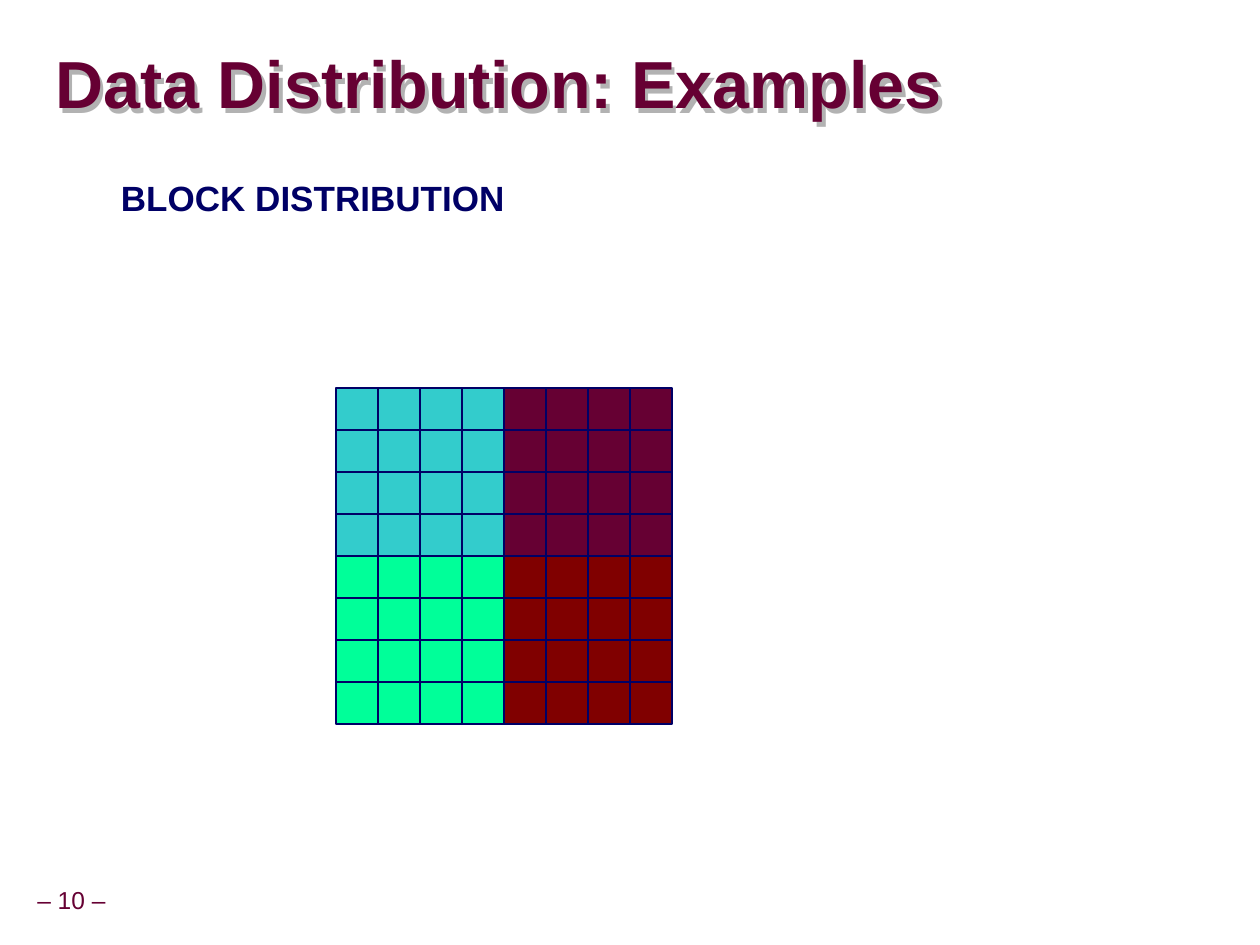
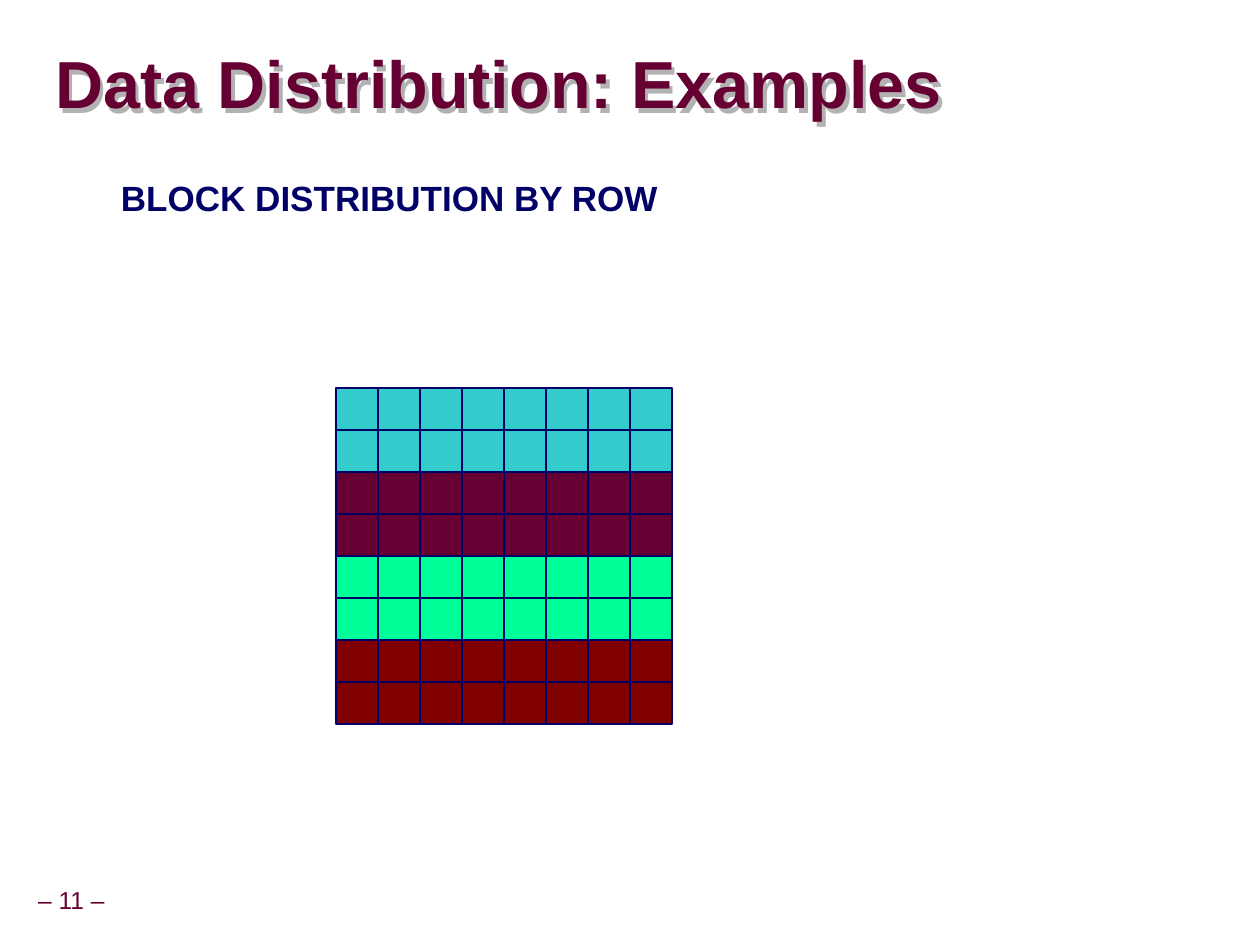
from lxml.etree import SubElement
from pptx import Presentation
from pptx.dml.color import RGBColor
from pptx.enum.shapes import MSO_SHAPE
from pptx.enum.text import MSO_ANCHOR, PP_ALIGN
from pptx.oxml.ns import qn
from pptx.util import Pt

WINE = RGBColor(0x66, 0x00, 0x33)
NAVY = RGBColor(0x00, 0x00, 0x66)
TEAL = RGBColor(0x33, 0xCC, 0xCC)
MINT = RGBColor(0x00, 0xFF, 0x99)
RUST = RGBColor(0x80, 0x00, 0x00)
GREY = RGBColor(0xB2, 0xB2, 0xB2)

TITLE = "Data Distribution: Examples"
FIRST = 10
SLIDES = [
    ("BLOCK DISTRIBUTION", [[TEAL, WINE], [MINT, RUST]]),
    ("BLOCK DISTRIBUTION BY ROW", [[TEAL], [WINE], [MINT], [RUST]]),
]

FONT = "Arial"
SIDE = 8
CELL = 42
LEFT, TOP = 336, 388


def px(n):
    return round(n * 914400 / 126)


def write(slide, text, box, size, color, bold=False, align=PP_ALIGN.LEFT,
          anchor=MSO_ANCHOR.MIDDLE, pad=(0, 0), wrap=True, space=1.0,
          hang=None):
    shape = slide.shapes.add_textbox(*map(px, box))
    frame = shape.text_frame
    frame.word_wrap = wrap
    frame.vertical_anchor = anchor
    frame.margin_left = frame.margin_right = px(pad[0])
    frame.margin_top = frame.margin_bottom = px(pad[1])
    para = frame.paragraphs[0]
    para.text = text
    para.alignment = align
    para.line_spacing = space
    if hang:
        props = para._p.get_or_add_pPr()
        props.set("marL", str(px(hang[0])))
        props.set("indent", str(px(hang[1])))
    font = para.runs[0].font
    font.name, font.size, font.bold = FONT, Pt(size), bold
    font.color.rgb = color
    return shape


def shade(shape):
    effect = SubElement(shape._element.spPr, qn("a:effectLst"))
    cast = SubElement(effect, qn("a:outerShdw"), dist=str(px(6)),
                      dir="3200000", algn="tl", rotWithShape="0")
    SubElement(cast, qn("a:srgbClr"), val=str(GREY))


def frame_up(slide, number):
    write(slide, f"– {number} –", (-11, 882, 165, 39), 14, WINE,
          align=PP_ALIGN.CENTER, pad=(6, 6), wrap=False, space=0.9)
    shade(write(slide, TITLE, (55, 34, 1201, 107), 38, WINE, bold=True,
                space=0.87))


def draw_grid(slide, blocks):
    tall = SIDE // len(blocks)
    wide = SIDE // len(blocks[0])
    for col in range(SIDE):
        for row in range(SIDE):
            cell = slide.shapes.add_shape(
                MSO_SHAPE.RECTANGLE, px(LEFT + col * CELL),
                px(TOP + row * CELL), px(CELL), px(CELL))
            cell.shadow.inherit = False
            cell.fill.solid()
            cell.fill.fore_color.rgb = blocks[row // tall][col // wide]
            cell.line.color.rgb = NAVY
            cell.line.width = Pt(0.75)


def main():
    deck = Presentation()
    deck.slide_width, deck.slide_height = px(1260), px(945)
    for number, (head, blocks) in enumerate(SLIDES, FIRST):
        slide = deck.slides.add_slide(deck.slide_layouts[6])
        frame_up(slide, number)
        write(slide, head, (40, 171, 1145, 717), 20, NAVY, bold=True,
              anchor=MSO_ANCHOR.TOP, pad=(13, 6), hang=(102, -34))
        draw_grid(slide, blocks)
    deck.save("out.pptx")


if __name__ == "__main__":
    main()
